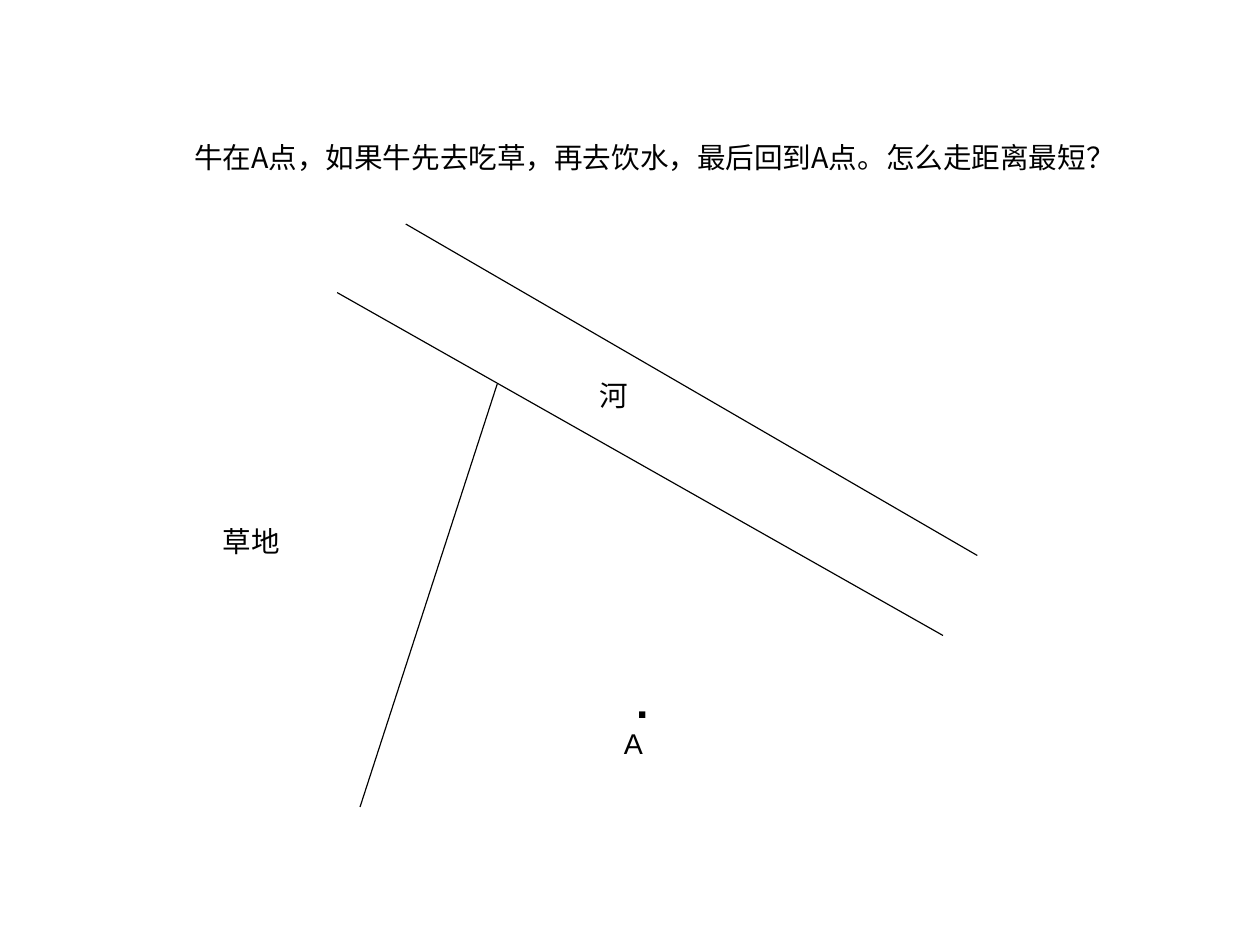
from lxml import etree
from pptx import Presentation
from pptx.dml.color import RGBColor
from pptx.enum.shapes import MSO_CONNECTOR
from pptx.enum.text import MSO_ANCHOR, PP_ALIGN
from pptx.oxml.ns import qn
from pptx.util import Cm, Inches, Pt

STRAIGHT = MSO_CONNECTOR.STRAIGHT
LEFT, TOP = PP_ALIGN.LEFT, MSO_ANCHOR.TOP
SLIDE_WIDTH, SLIDE_HEIGHT = Cm(28), Cm(21)
GRID_LEFT, GRID_TOP, CELL = 0.15, 0.06, 0.1
CHINESE_FONT, LATIN_FONT = "Noto Sans CJK SC", "Arial"


def colour(hex_code):
    return RGBColor.from_string(hex_code)


def write(paragraph, text, font=CHINESE_FONT, size=18, bold=False,
          ink="000000", indent=0):
    """Fill a paragraph; indent is in grid cells."""
    paragraph.alignment = LEFT
    paragraph.line_spacing = 0.93
    if indent:
        paragraph._p.get_or_add_pPr().set("marL", str(Inches(indent * CELL)))
    run = paragraph.add_run()
    run.text = text
    run.font.name = font
    run.font.size = Pt(size)
    run.font.bold = bold
    run.font.color.rgb = colour(ink)
    east_asian = etree.SubElement(run._r.get_or_add_rPr(), qn("a:ea"))
    east_asian.set("typeface", CHINESE_FONT)


class GeometrySlide:
    """Places lines and labels by grid column and row."""

    ink = "000000"
    line_width = 0.75

    def __init__(self, slide):
        self.slide = slide
        slide.background.fill.solid()
        slide.background.fill.fore_color.rgb = colour("FFFFFF")

    def place(self, column, row):
        return Inches(GRID_LEFT + column * CELL), Inches(GRID_TOP + row * CELL)

    def line(self, start, end):
        edge = self.slide.shapes.add_connector(
            STRAIGHT, *self.place(*start), *self.place(*end))
        edge.line.color.rgb = colour(self.ink)
        edge.line.width = Pt(self.line_width)
        etree.SubElement(edge._element.spPr, qn("a:effectLst"))

    def label(self, column, row, columns, rows, *lines):
        """Add a text box; each line is a text and its format."""
        box = self.slide.shapes.add_textbox(
            *self.place(column, row), Inches(columns * CELL), Inches(rows * CELL))
        frame = box.text_frame
        frame.word_wrap = False
        frame.vertical_anchor = TOP
        for index, (text, style) in enumerate(lines):
            paragraph = frame.add_paragraph() if index else frame.paragraphs[0]
            write(paragraph, text, ink=self.ink, **style)


def main():
    deck = Presentation()
    deck.slide_width = SLIDE_WIDTH
    deck.slide_height = SLIDE_HEIGHT
    puzzle = GeometrySlide(deck.slides.add_slide(deck.slide_layouts[6]))

    grass_edge = (30, 70), (42, 33)
    near_bank = (28, 25), (81, 55)
    far_bank = (34, 19), (84, 48)
    for start, end in (grass_edge, near_bank, far_bank):
        puzzle.line(start, end)

    puzzle.label(52.1, 58.3, 4.1, 8.1,
                 (".", dict(font=LATIN_FONT, size=28, bold=True, indent=1.08)),
                 ("A", dict(font=LATIN_FONT)))
    puzzle.label(50, 32.2, 4.5, 3.8, ("河", {}))
    puzzle.label(17, 45, 7, 3.8, ("草地", {}))
    question = "牛在A点，如果牛先去吃草，再去饮水，最后回到A点。怎么走距离最短？"
    puzzle.label(14.5, 11.4, 85.4, 3.8, (question, {}))

    deck.save("out.pptx")


if __name__ == "__main__":
    main()
